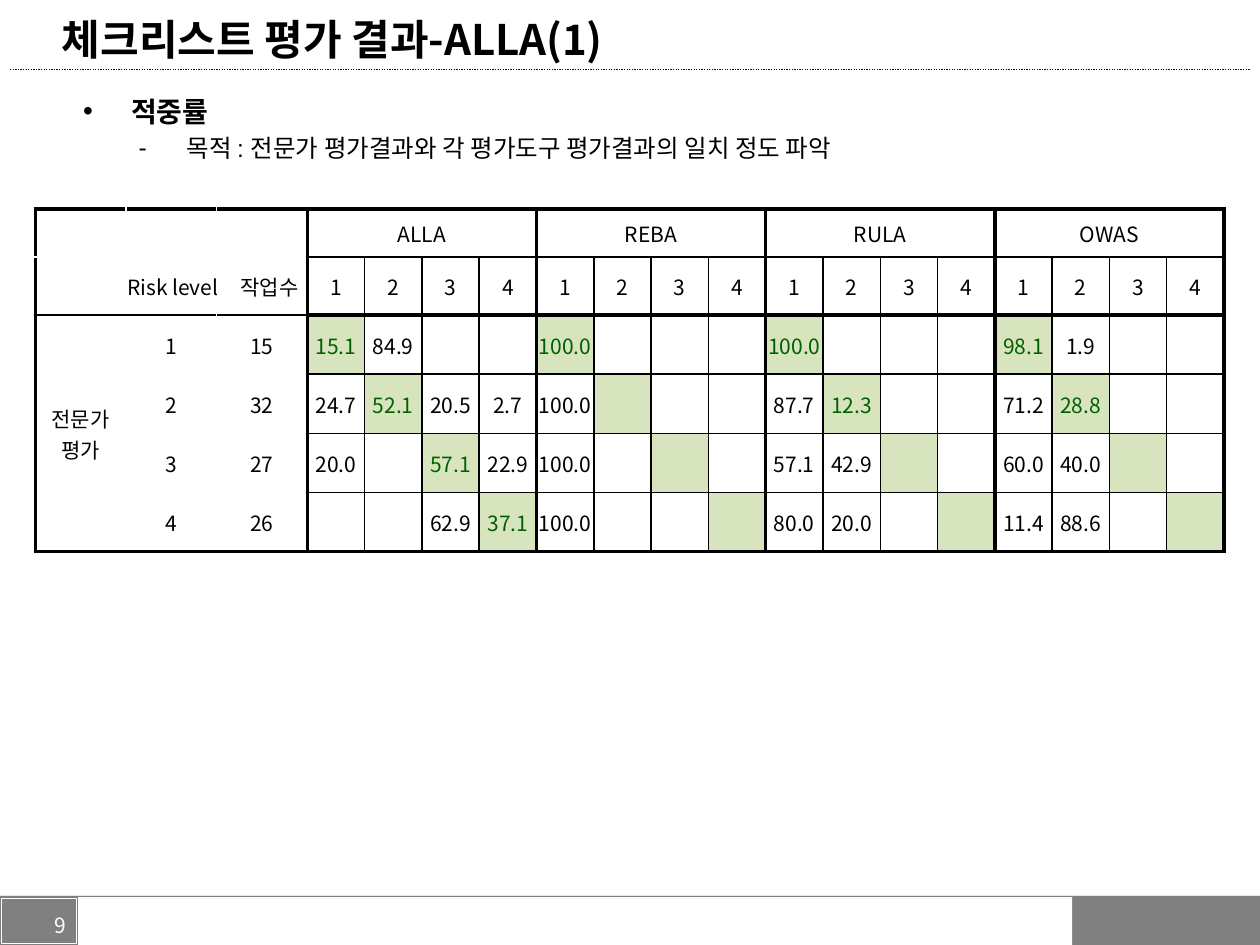
from pptx import Presentation, util as u
from pptx.dml.color import RGBColor
from pptx.enum import dml, shapes, text
from pptx.oxml import parse_xml
from pptx.oxml.ns import nsdecls, qn

FONT = "Noto Sans CJK KR"
BLACK, WHITE, GRAY = "000000", "FFFFFF", "808080"
HIT_FILL, HIT_TEXT = "D7E4BD", "006100"
THICK, THIN, HIDDEN = (BLACK, 2.25), (BLACK, 1), (WHITE, 1)
CENTER, LEFT = text.PP_ALIGN.CENTER, text.PP_ALIGN.LEFT

TITLE = "체크리스트 평가 결과-ALLA(1)"
HEADING = "적중률"
PURPOSE = "목적 : 전문가 평가결과와 각 평가도구 평가결과의 일치 정도 파악"
TOOLS = ["ALLA", "REBA", "RULA", "OWAS"]
LEVELS = ["1", "2", "3", "4"]
TASKS = ["15", "32", "27", "26"]
# One row per expert risk level; each tool lists its share at levels 1 to 4.
RATES = [
    [["15.1", "84.9", "", ""], ["100.0", "", "", ""],
     ["100.0", "", "", ""], ["98.1", "1.9", "", ""]],
    [["24.7", "52.1", "20.5", "2.7"], ["100.0", "", "", ""],
     ["87.7", "12.3", "", ""], ["71.2", "28.8", "", ""]],
    [["20.0", "", "57.1", "22.9"], ["100.0", "", "", ""],
     ["57.1", "42.9", "", ""], ["60.0", "40.0", "", ""]],
    [["", "", "62.9", "37.1"], ["100.0", "", "", ""],
     ["80.0", "20.0", "", ""], ["11.4", "88.6", "", ""]],
]
TABLE = (0.28, 1.66, 9.44, 2.72)
LABEL_COLUMNS, LABEL_WIDTH = 3, 0.72
ROW_HEIGHTS = [0.38, 0.46] + [0.47] * 4


def rgb(value):
    return RGBColor.from_string(value)


def inches(*values):
    return [u.Inches(value) for value in values]


def write(para, words, size=12, color=BLACK, bold=False, font=FONT, align=LEFT):
    para.alignment = align
    for index, line in enumerate(words.split("\n")):
        if index:
            para.add_line_break()
        span = para.add_run()
        span.text = line
        span.font.size, span.font.bold, span.font.name = u.Pt(size), bold, font
        span.font.color.rgb = rgb(color)
        east = span._r.get_or_add_rPr().makeelement(qn("a:ea"), {"typeface": FONT})
        span._r.rPr.find(qn("a:latin")).addnext(east)


def place(shape, *box):
    shape.left, shape.top, shape.width, shape.height = inches(*box)


def add_bullet(para, words, mark, indent, **style):
    write(para, words, **style)
    props = para._p.get_or_add_pPr()
    props.set("marL", str(u.Inches(indent)))
    props.set("indent", str(u.Inches(-0.38)))
    props.append(parse_xml(f'<a:spcBef {nsdecls("a")}><a:spcPct val="20000"/></a:spcBef>'))
    props.append(parse_xml(f'<a:buFont {nsdecls("a")} typeface="Arial"/>'))
    props.append(parse_xml(f'<a:buChar {nsdecls("a")} char="{mark}"/>'))


def add_bar(page, *box, fill=None, line=None):
    bar = page.shapes.add_shape(shapes.MSO_SHAPE.RECTANGLE, *inches(*box))
    bar.shadow.inherit = False
    if fill:
        bar.fill.solid()
        bar.fill.fore_color.rgb = rgb(fill)
    else:
        bar.fill.background()
    if line:
        bar.line.color.rgb, bar.line.width = rgb(line), u.Pt(0.5)
    else:
        bar.line.fill.background()
    return bar


def add_texts(page):
    title, body = page.placeholders
    place(title, 0.39, 0.07, 9, 0.48)
    place(body, 0.5, 0.7, 9, 6)
    for box in (title, body):
        box.text_frame.auto_size = text.MSO_AUTO_SIZE.NONE
    title.text_frame.vertical_anchor = text.MSO_ANCHOR.MIDDLE
    write(title.text_frame.paragraphs[0], TITLE, size=24, bold=True)
    add_bullet(body.text_frame.paragraphs[0], HEADING, "•", 0.44,
               size=16, bold=True, font="Arial")
    para = body.text_frame.add_paragraph()
    para.level = 1
    add_bullet(para, PURPOSE, "-", 0.88, size=14, font="Arial")


def add_frame(page):
    """Draws the rule under the title and the footer with the page number."""
    rule = page.shapes.add_connector(shapes.MSO_CONNECTOR.STRAIGHT,
                                     *inches(0.08, 0.55, 9.92, 0.55))
    rule.line.color.rgb, rule.line.width = rgb("0D0D0D"), u.Pt(0.75)
    rule.line.dash_style = dml.MSO_LINE.ROUND_DOT
    rule._element.spPr.append(parse_xml(f'<a:effectLst {nsdecls("a")}/>'))

    footer = add_bar(page, 0, 7.11, 10, 0.39, fill=GRAY)
    footer._element.spPr.find(qn("a:effectLst")).append(parse_xml(
        f'<a:outerShdw {nsdecls("a")} blurRad="{u.Pt(3.1)}" dist="{u.Pt(1.6)}" '
        'dir="5400000" rotWithShape="0"><a:srgbClr val="000000">'
        '<a:alpha val="38000"/></a:srgbClr></a:outerShdw>'))
    add_bar(page, 0.62, 7.12, 7.89, 0.38, fill=WHITE)
    add_bar(page, 0.01, 7.13, 0.6, 0.36, line=WHITE)
    number = page.shapes.add_textbox(*inches(0, 7.19, 0.62, 0.31)).text_frame
    number.word_wrap = True
    number.vertical_anchor = text.MSO_ANCHOR.MIDDLE
    write(number.paragraphs[0], "9", color=WHITE, align=text.PP_ALIGN.RIGHT)


def column_line(column):
    if 0 < column < LABEL_COLUMNS:
        return HIDDEN
    whole_tool = (column - LABEL_COLUMNS) % len(LEVELS) == 0
    return THICK if column == 0 or whole_tool else THIN


def row_line(row, column):
    if row in (0, len(ROW_HEIGHTS)):
        return THICK
    if column < LABEL_COLUMNS:
        return THIN if row == 2 else HIDDEN
    return THICK if row == 2 else THIN


def set_borders(cell, **lines):
    for side, (color, width) in lines.items():
        cell._tc.get_or_add_tcPr().append(parse_xml(
            f'<a:ln{side} {nsdecls("a")} w="{u.Pt(width)}"><a:solidFill>'
            f'<a:srgbClr val="{color}"/></a:solidFill></a:ln{side}>'))


def fill_area(table, row, column, words="", height=1, width=1, hit=False, align=CENTER):
    """Formats one cell, or a merged block, and writes its words."""
    first = table.cell(row, column)
    if height * width > 1:
        first.merge(table.cell(row + height - 1, column + width - 1))
    for r in range(row, row + height):
        for c in range(column, column + width):
            cell = table.cell(r, c)
            set_borders(cell, L=column_line(column), R=column_line(column + width),
                        T=row_line(row, column), B=row_line(row + height, column))
            cell.margin_left = cell.margin_right = cell.margin_top = u.Inches(0.01)
            cell.margin_bottom = 0
            cell.vertical_anchor = text.MSO_ANCHOR.MIDDLE
            cell.fill.background()
    if hit:
        first.fill.solid()
        first.fill.fore_color.rgb = rgb(HIT_FILL)
    if words:
        write(first.text_frame.paragraphs[0], words,
              color=HIT_TEXT if hit else BLACK, align=align)
    return first


def add_rates(page):
    rate_columns = len(TOOLS) * len(LEVELS)
    table = page.shapes.add_table(len(ROW_HEIGHTS), LABEL_COLUMNS + rate_columns,
                                  *inches(*TABLE)).table
    table.first_row = table.horz_banding = False
    rate_width = (TABLE[2] - LABEL_COLUMNS * LABEL_WIDTH) / rate_columns
    for index, column in enumerate(table.columns):
        column.width = u.Inches(LABEL_WIDTH if index < LABEL_COLUMNS else rate_width)
    for row, height in zip(table.rows, ROW_HEIGHTS):
        row.height = u.Inches(height)

    for column in range(LABEL_COLUMNS):
        fill_area(table, 0, column)
    fill_area(table, 1, 0)
    labels = fill_area(table, 1, 1, "Risk level\t작업수", width=2, align=LEFT)
    labels.text_frame.paragraphs[0]._p.get_or_add_pPr().append(parse_xml(
        f'<a:tabLst {nsdecls("a")}><a:tab pos="{u.Inches(0.9)}" algn="l"/></a:tabLst>'))
    fill_area(table, 2, 0, "전문가\n평가", height=len(LEVELS))
    for row, (level, tasks) in enumerate(zip(LEVELS, TASKS), 2):
        fill_area(table, row, 1, level)
        fill_area(table, row, 2, tasks)

    for tool, name in enumerate(TOOLS):
        start = LABEL_COLUMNS + tool * len(LEVELS)
        fill_area(table, 0, start, name, width=len(LEVELS))
        for rated, level in enumerate(LEVELS):
            fill_area(table, 1, start + rated, level)
            for expert, rates in enumerate(RATES):
                fill_area(table, 2 + expert, start + rated, rates[tool][rated],
                          hit=expert == rated)


def main():
    deck = Presentation()
    deck.slide_width, deck.slide_height = inches(10, 7.5)
    page = deck.slides.add_slide(deck.slide_layouts[1])
    add_frame(page)
    add_texts(page)
    add_rates(page)
    deck.save("out.pptx")


if __name__ == "__main__":
    main()
